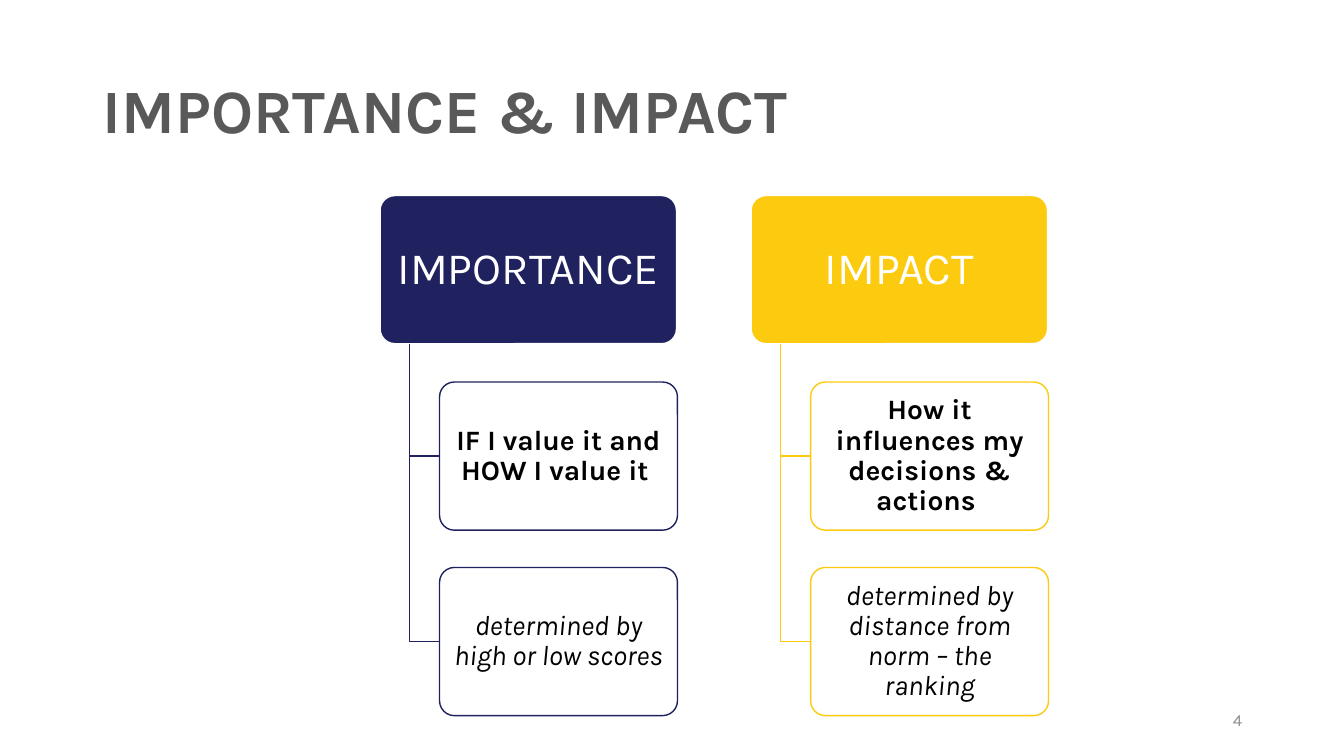
from lxml import etree
from pptx import Presentation
from pptx.dml.color import RGBColor
from pptx.enum.shapes import MSO_SHAPE
from pptx.enum.text import MSO_ANCHOR, PP_ALIGN
from pptx.oxml.ns import qn
from pptx.util import Inches, Pt

ROUNDED = MSO_SHAPE.ROUNDED_RECTANGLE
MIDDLE = MSO_ANCHOR.MIDDLE
LEFT, CENTER, RIGHT = PP_ALIGN.LEFT, PP_ALIGN.CENTER, PP_ALIGN.RIGHT
WHITE = RGBColor(0xFF, 0xFF, 0xFF)
BLACK = RGBColor(0x00, 0x00, 0x00)
NAVY = RGBColor(0x1F, 0x22, 0x5E)
YELLOW = RGBColor(0xFC, 0xCB, 0x0F)
TITLE_GRAY = RGBColor(0x59, 0x59, 0x59)
NUMBER_GRAY = RGBColor(0x8C, 0x8C, 0x8C)

COLUMN_LEFT, COLUMN_STEP = 3.77, 3.68
HEADER_TOP, HEADER_WIDTH, BOX_HEIGHT = 1.94, 2.94, 1.47
DETAIL_TOP, DETAIL_STEP, DETAIL_WIDTH = 3.79, 1.84, 2.36
TRUNK_INDENT, DETAIL_INDENT = 0.29, 0.59

COLUMNS = [
    ("IMPORTANCE", NAVY,
     ["IF I value it and HOW I value it ", "determined by high or low scores"]),
    ("IMPACT", YELLOW,
     ["How it influences my decisions & actions ",
      "determined by distance from norm – the ranking"]),
]


def write_text(shape, text, size, color, alignment, bold=False, italic=False):
    frame = shape.text_frame
    frame.word_wrap = True
    frame.vertical_anchor = MIDDLE
    paragraph = frame.paragraphs[0]
    paragraph.alignment = alignment
    paragraph.line_spacing = 0.9
    run = paragraph.add_run()
    run.text = text
    run.font.name = "Karla"
    run.font.size = Pt(size)
    run.font.bold = bold
    run.font.italic = italic
    run.font.color.rgb = color


def add_box(left, top, width, fill, line, inset_x, inset_y):
    box = slide.shapes.add_shape(
        ROUNDED, Inches(left), Inches(top), Inches(width), Inches(BOX_HEIGHT))
    box.adjustments[0] = 0.1
    box.shadow.inherit = False
    box.fill.solid()
    box.fill.fore_color.rgb = fill
    box.line.color.rgb = line
    box.line.width = Pt(1)
    frame = box.text_frame
    frame.margin_left = frame.margin_right = Inches(inset_x)
    frame.margin_top = frame.margin_bottom = Inches(inset_y)
    return box


presentation = Presentation()
presentation.slide_width = Inches(13.33)
presentation.slide_height = Inches(7.5)
slide = presentation.slides.add_slide(presentation.slide_layouts[5])

title = slide.shapes.title
title.left, title.top = Inches(0.92), Inches(0.4)
title.width, title.height = Inches(11.5), Inches(1.45)
write_text(title, "IMPORTANCE & IMPACT", 44, TITLE_GRAY, LEFT, bold=True)

for column, (heading, color, details) in enumerate(COLUMNS):
    left = COLUMN_LEFT + column * COLUMN_STEP
    header = add_box(left, HEADER_TOP, HEADER_WIDTH, color, WHITE, 0.11, 0.08)
    write_text(header, heading, 32, WHITE, CENTER)

    trunk_x = Inches(left + TRUNK_INDENT)
    detail_left = left + DETAIL_INDENT
    for row, detail in enumerate(details):
        top = DETAIL_TOP + row * DETAIL_STEP
        middle = Inches(top + BOX_HEIGHT / 2)
        builder = slide.shapes.build_freeform(trunk_x, Inches(HEADER_TOP + BOX_HEIGHT))
        builder.add_line_segments(
            [(trunk_x, middle), (Inches(detail_left), middle)], close=False)
        branch = builder.convert_to_shape()
        branch.shadow.inherit = False
        branch.fill.background()
        branch.line.color.rgb = color
        branch.line.width = Pt(1)

        box = add_box(detail_left, top, DETAIL_WIDTH, WHITE, color, 0.08, 0.07)
        white_fill = box.fill._xPr.find(qn("a:solidFill"))[0]
        etree.SubElement(white_fill, qn("a:alpha")).set("val", "90000")
        write_text(box, detail, 20, BLACK, CENTER, bold=row == 0, italic=row == 1)

number = slide.shapes.add_textbox(Inches(9.42), Inches(6.95), Inches(3), Inches(0.4))
write_text(number, "4", 12, NUMBER_GRAY, RIGHT)

presentation.save("out.pptx")
